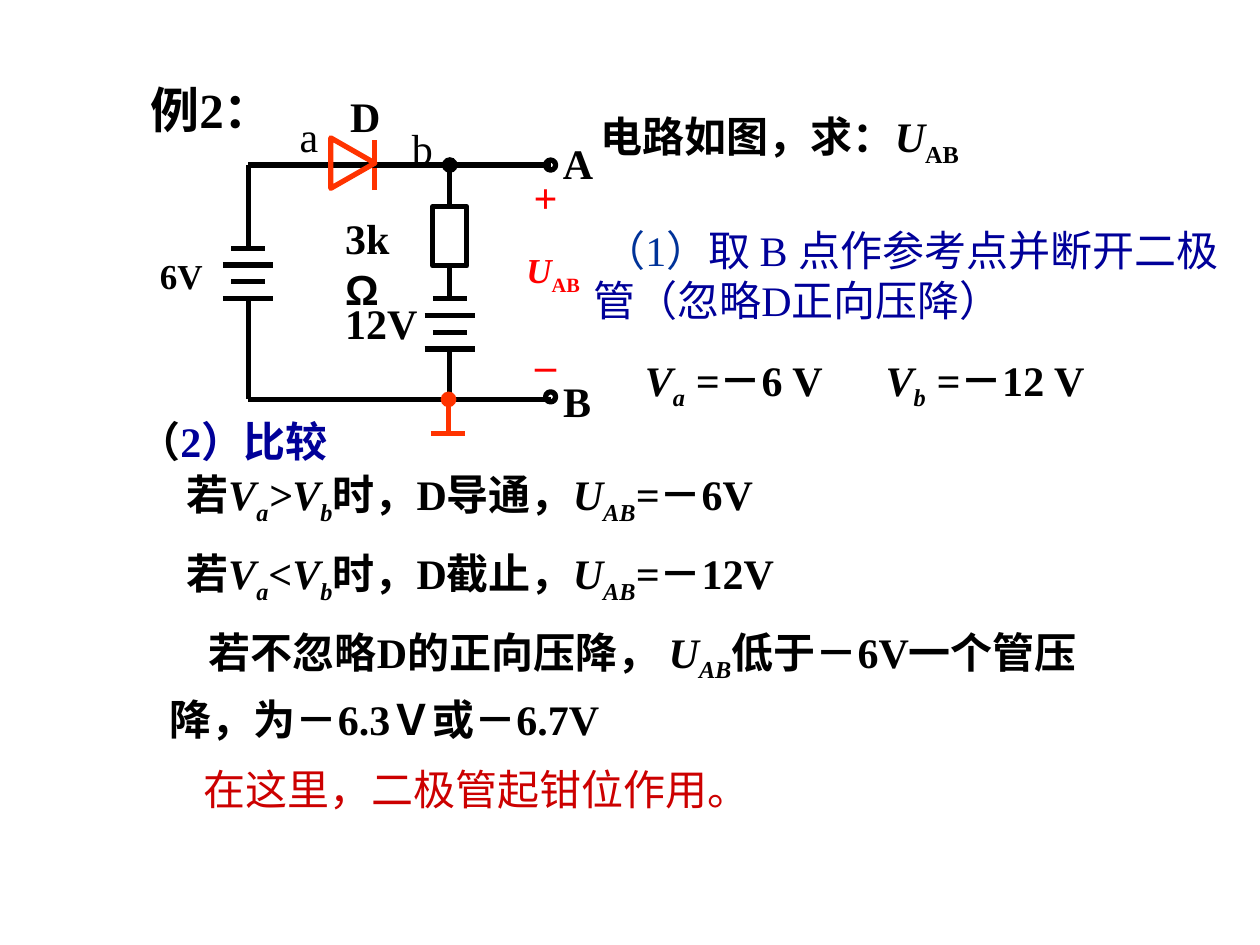
from pptx import Presentation
from pptx.dml.color import RGBColor as Rgb
from pptx.enum.shapes import MSO_CONNECTOR as Conn, MSO_SHAPE as Kind
from pptx.enum.text import MSO_ANCHOR as Anchor, MSO_AUTO_SIZE as Auto, PP_ALIGN as Align
from pptx.oxml.ns import qn
from pptx.util import Inches, Pt
from lxml.etree import SubElement as Sub

INK = {"black": "000000", "red": "FF0000", "orange": "FF3300",
       "brick": "CC0000", "blue": "003399", "navy": "000099"}
SERIF = "Times New Roman"


def ink(name):
    return Rgb.from_string(INK[name])


def text(slide, at, runs, size=24, color="black", bold=True, wrap=True,
         mid=False, align=None, space=None, indent=0, tab=None):
    """Runs are strings or (string, marks, font changes); i = italic, s = subscript."""
    frame = slide.shapes.add_textbox(*map(Inches, at)).text_frame
    frame.word_wrap = wrap
    frame.auto_size = Auto.SHAPE_TO_FIT_TEXT
    frame.vertical_anchor = Anchor.MIDDLE if mid else Anchor.TOP
    para = frame.paragraphs[0]
    para.alignment = align
    para.line_spacing = space
    props = para._p.get_or_add_pPr()
    if indent:
        props.set("indent", str(Inches(indent)))
    if tab:
        stops = Sub(props, qn("a:tabLst"))
        Sub(stops, qn("a:tab"), pos=str(Inches(tab)), algn="l")
    font = para.font
    font.name, font.size, font.bold = SERIF, Pt(size), bold
    font.color.rgb = ink(color)
    for item in runs:
        words, marks, *more = (item, "") if isinstance(item, str) else item
        run = para.add_run()
        run.text = words
        if "i" in marks:
            run.font.italic = True
        if "s" in marks:
            run.font._element.set("baseline", "-25000")
        for key, value in (more[0] if more else {}).items():
            if key == "color":
                run.font.color.rgb = ink(value)
            else:
                run.font.name = value


def wire(slide, x1, y1, x2, y2, color="black", dot=False):
    line = slide.shapes.add_connector(Conn.STRAIGHT, *map(Inches, (x1, y1, x2, y2)))
    line.line.color.rgb = ink(color)
    line.line.width = Pt(3)
    if dot:
        Sub(line.line._get_or_add_ln(), qn("a:headEnd"), type="oval")
    Sub(line._element.spPr, qn("a:effectLst"))
    return line


def shape(slide, kind, at, color="black"):
    part = slide.shapes.add_shape(kind, *map(Inches, at))
    part.shadow.inherit = False
    part.fill.background()
    part.line.color.rgb = ink(color)
    part.line.width = Pt(3)
    return part


def cells(slide, x, top):
    """Battery: short and long plates in turn."""
    for i in range(4):
        half = 0.2 if i % 2 else 0.135
        y = top + i * 0.4 / 3
        wire(slide, x - half, y, x + half, y)


def circuit(slide):
    left, right, end, top, base = 1.97, 3.57, 4.37, 1.31, 3.17
    # Diode
    wire(slide, 2.97, 1.51, 2.97, 1.11, "orange")
    wire(slide, left, top, end, top)
    shape(slide, Kind.ISOSCELES_TRIANGLE, (2.6, 1.12, 0.4, 0.35), "orange").rotation = 90
    # Left branch
    wire(slide, left, top, left, 1.97)
    cells(slide, left, 1.97)
    wire(slide, left, 2.37, left, base)
    # Right branch
    wide = 0.27
    load = shape(slide, Kind.RECTANGLE, (right - wide / 2, 1.64, wide, 0.47))
    wire(slide, right, top, right, 1.64, dot=True).end_connect(load, 0)
    wire(slide, right, 2.11, right, 2.37).begin_connect(load, 2)
    cells(slide, right, 2.37)
    wire(slide, right, 2.77, right, base)
    wire(slide, left, base, end, base)
    # Terminals
    for y in (1.27, 3.11):
        shape(slide, Kind.OVAL, (4.33, y, 0.08, 0.08))
    # Ground
    wire(slide, 3.56, base, 3.56, 3.44, "orange", dot=True)
    wire(slide, 3.42, 3.44, 3.69, 3.44, "orange")


def labels(slide):
    for word, x, y, w in (("D", 2.68, 0.67, 0.44), ("12V", 2.64, 2.31, 0.85),
                          ("A", 4.37, 1.04, 0.44), ("B", 4.37, 2.93, 0.42)):
        text(slide, (x, y, w, 0.5), [word], wrap=False)
    text(slide, (1.17, 1.97, 0.54, 0.44), ["6V"], size=20, wrap=False)
    text(slide, (2.64, 1.64, 0.75, 0.5), ["3k", ("Ω", "", {"name": "Arial"})])
    for word, x, y, w in (("a", 2.28, 0.83, 0.47), ("b", 3.17, 0.92, 0.39)):
        text(slide, (x, y, w, 0.5), [word], bold=False)
    # Output voltage
    for sign, y in (("+", 1.31), ("–", 2.64)):
        text(slide, (4.03, y, 0.6, 0.5), [sign], color="red", align=Align.CENTER)
    text(slide, (3.99, 1.92, 0.8, 0.48), [("U", "i"), ("AB", "s")], size=20,
         color="red", wrap=False, mid=True, align=Align.CENTER)


def steps(slide):
    uab = [("U", "i"), ("AB", "is")]
    # Task
    text(slide, (0.88, 0.58, 1.6, 0.57), ["例2："], size=28, wrap=False,
         mid=True, align=Align.CENTER)
    text(slide, (4.67, 0.83, 4.08, 0.56), ["电路如图，求：", ("U", "i"), ("AB", "s")])
    # Step 1
    text(slide, (4.61, 1.73, 5.39, 0.97),
         [("（1）", "", {"color": "blue"}), "取 B 点作参考点并断开二极管（忽略D正向压降）"],
         color="navy", bold=False, indent=0.08)
    text(slide, (5.02, 2.67, 3.85, 0.65),
         [("V", "i"), ("a", "is"), (" =", "i"), "－6 V\t",
          ("V", "i"), ("b", "is"), (" =", "i"), "－12 V"],
         wrap=False, space=1.2, tab=1.91)
    # Step 2
    text(slide, (1, 3.25, 2.99, 0.5), ["（", ("2）比较", "", {"color": "navy"})])
    for y, w, sign, state, value in ((3.67, 6.1, ">", "导通", "－6V"),
                                     (4.3, 6.34, "<", "截止", "－12V")):
        text(slide, (1.38, y, w, 0.56),
             ["若", ("V", "i"), ("a", "is"), (sign + "V", "i"), ("b", "is"),
              f"时，D{state}，", *uab, ("=", "i"), value])
    # Conclusion
    text(slide, (1.25, 4.83, 7.67, 1.13),
         ["若不忽略D的正向压降， ", *uab, "低于－6V一个管压降，为－6.3Ｖ或－6.7V"],
         space=1.2, indent=0.31)
    text(slide, (1.25, 5.97, 7.59, 0.62), ["在这里，二极管起钳位作用。"],
         color="brick", bold=False, space=1.1, indent=0.27)


def main():
    deck = Presentation()
    deck.slide_width, deck.slide_height = Inches(10), Inches(7.5)
    slide = deck.slides.add_slide(deck.slide_layouts[6])
    circuit(slide)
    labels(slide)
    steps(slide)
    deck.save("out.pptx")


if __name__ == "__main__":
    main()
